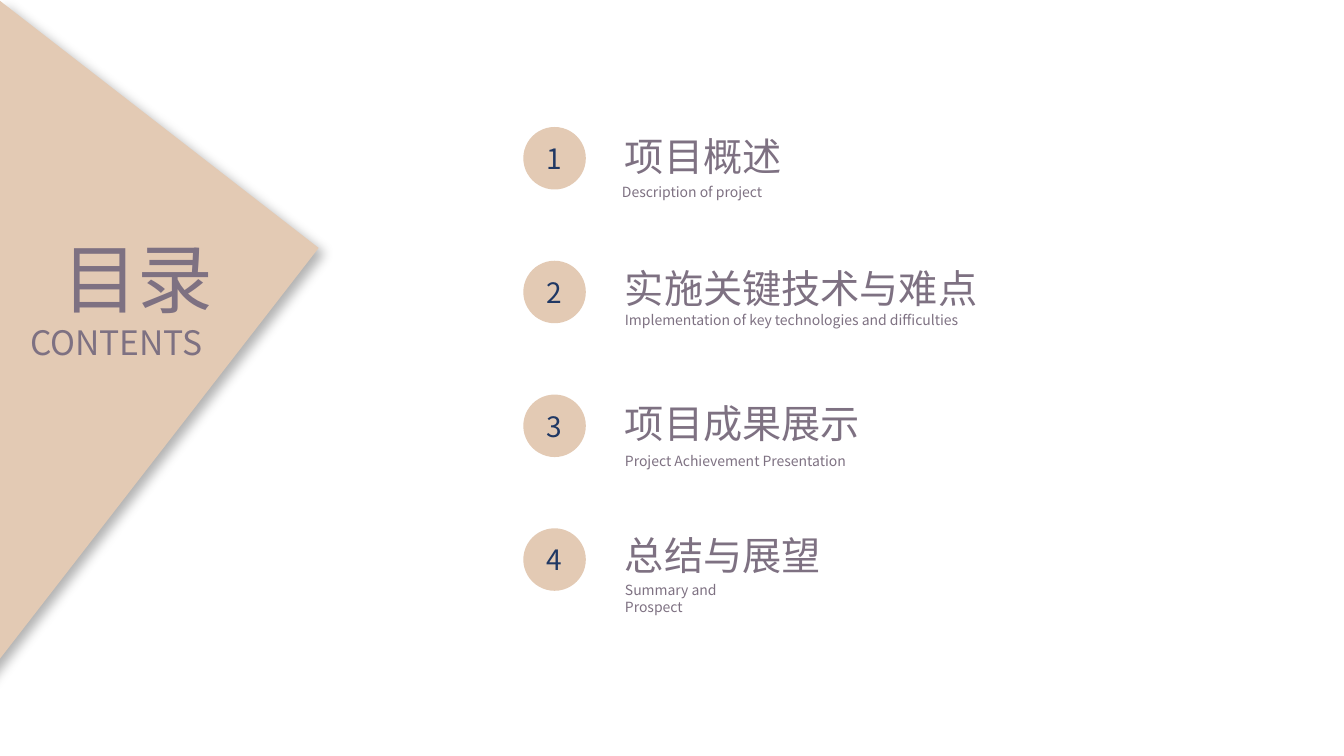
from dataclasses import dataclass

from lxml import etree
from pptx import Presentation
from pptx.dml.color import RGBColor
from pptx.enum.shapes import MSO_SHAPE
from pptx.enum.text import MSO_ANCHOR, PP_ALIGN
from pptx.oxml import parse_xml
from pptx.oxml.ns import qn
from pptx.util import Inches, Pt

TRIANGLE = MSO_SHAPE.RIGHT_TRIANGLE
OVAL = MSO_SHAPE.OVAL
MIDDLE = MSO_ANCHOR.MIDDLE
CENTER = PP_ALIGN.CENTER
SHADOW = """<a:effectLst xmlns:a="http://schemas.openxmlformats.org/drawingml/2006/main">
<a:outerShdw blurRad="101600" dist="76200" dir="2700000" algn="tl" rotWithShape="0">
<a:srgbClr val="000000"><a:alpha val="30000"/></a:srgbClr></a:outerShdw></a:effectLst>"""


@dataclass(frozen=True)
class Theme:
    """Colours, font and type sizes of the slide."""
    sand: RGBColor = RGBColor.from_string("E3CAB4")
    mauve: RGBColor = RGBColor.from_string("7E7182")
    navy: RGBColor = RGBColor.from_string("203864")
    font: str = "Noto Sans CJK SC"
    head: int = 54
    label: int = 24
    title: int = 28
    number: int = 20
    note: int = 10


THEME = Theme()
TOPICS = [
    ("项目概述", (6.1, 1.26, 1.76), "Description of project", (6.07, 1.77, 5.25)),
    ("实施关键技术与难点", (6.1, 2.57, 3.7),
     "Implementation of key technologies and difficulties", (6.1, 3.04, 3.74)),
    ("项目成果展示", (6.1, 3.91, 2.53),
     "Project Achievement Presentation", (6.1, 4.44, 2.42)),
    ("总结与展望", (6.1, 5.22, 2.14), "Summary and Prospect", (6.1, 5.72, 1.59)),
]


def write(frame, text, size, color):
    """Put one styled paragraph in a text frame and return it."""
    para = frame.paragraphs[0]
    run = para.add_run()
    run.text = text
    para.font.size = Pt(size)
    para.font.color.rgb = color
    para.font.name = THEME.font
    east = etree.SubElement(run.font._element, qn("a:ea"))
    east.set("typeface", THEME.font)
    return para


def add_text(slide, box, text, size, wrap=False):
    """Add a mauve text box."""
    frame = slide.shapes.add_textbox(*map(Inches, box)).text_frame
    frame.word_wrap = wrap
    write(frame, text, size, THEME.mauve)


def add_solid(slide, kind, box):
    """Add a sand shape without outline or shadow."""
    shape = slide.shapes.add_shape(kind, *map(Inches, box))
    shape.shadow.inherit = False
    shape.fill.solid()
    shape.fill.fore_color.rgb = THEME.sand
    shape.line.fill.background()
    return shape


def add_wedge(slide):
    """Add the turned triangle with its soft shadow."""
    wedge = add_solid(slide, TRIANGLE, (-3.19, 1.56, 5.91, 4.01))
    wedge.rotation = 127.8
    props = wedge._element.spPr
    props.find(qn("a:xfrm")).set("flipV", "1")
    props.replace(props.find(qn("a:effectLst")), parse_xml(SHADOW))


def add_badge(slide, index):
    """Add the numbered circle of a topic."""
    top = 1.26 + 1.327 * index
    badge = add_solid(slide, OVAL, (5.19, top, 0.62, 0.62))
    frame = badge.text_frame
    frame.vertical_anchor = MIDDLE
    para = write(frame, str(index + 1), THEME.number, THEME.navy)
    para.alignment = CENTER


def main():
    """Build the contents slide and save it."""
    deck = Presentation()
    deck.slide_width, deck.slide_height = Inches(13.33), Inches(7.5)
    slide = deck.slides.add_slide(deck.slide_layouts[6])
    add_wedge(slide)
    add_text(slide, (0.52, 2.25, 1.72, 1.01), "目录", THEME.head)
    add_text(slide, (0.2, 3.14, 2.05, 0.5), "CONTENTS", THEME.label)
    for index, (title, place, note, spot) in enumerate(TOPICS):
        add_badge(slide, index)
        add_text(slide, (*place, 0.57), title, THEME.title)
        add_text(slide, (*spot, 0.27), note, THEME.note, True)
    deck.save("out.pptx")


main()
